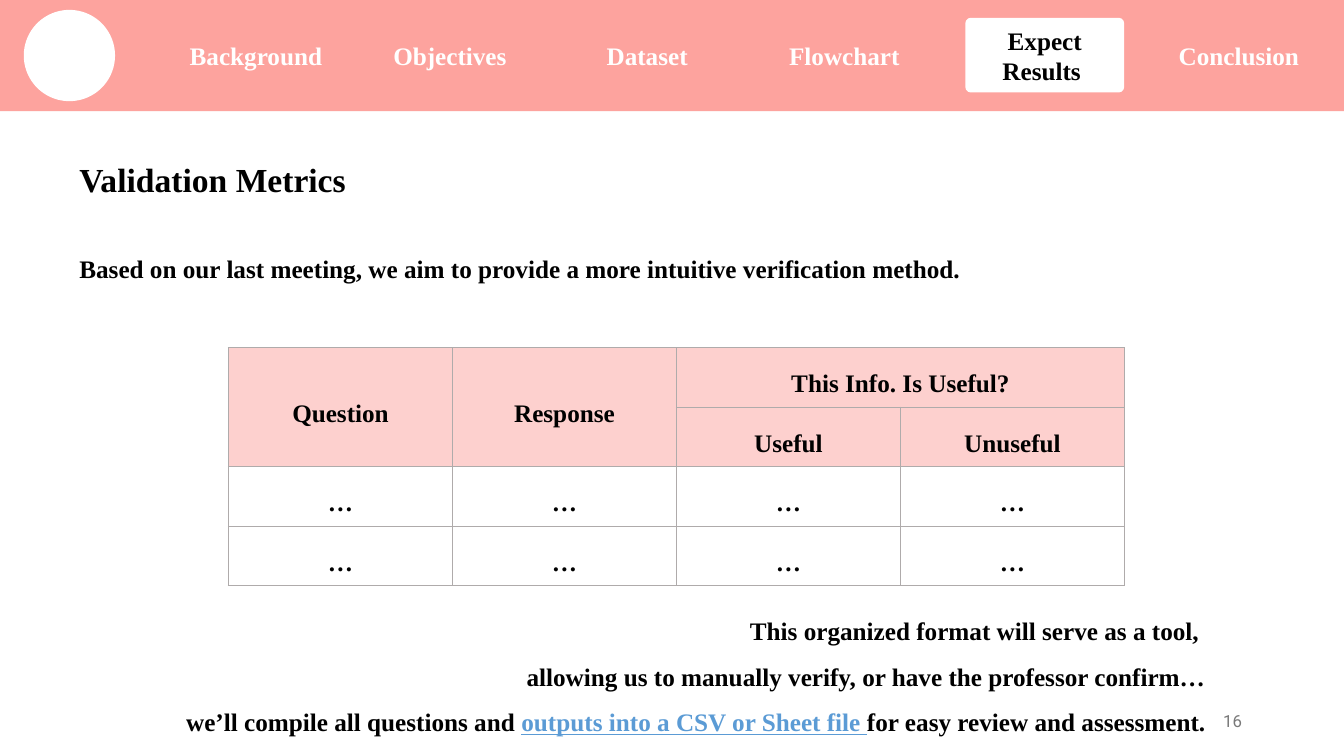
from lxml import etree
from pptx import Presentation
from pptx.dml.color import RGBColor
from pptx.enum import shapes, text
from pptx.oxml import ns
from pptx.util import Cm, Pt

CORAL = RGBColor(0xFD, 0xA3, 0x9E)
WHITE = RGBColor(0xFF, 0xFF, 0xFF)
BLACK = RGBColor(0x00, 0x00, 0x00)
BLUE = RGBColor(0x5B, 0x9B, 0xD5)
GRAY = RGBColor(0x79, 0x79, 0x79)
BORDER = RGBColor(0xAF, 0xAB, 0xAB)
ALIGN, ANCHOR = text.PP_ALIGN, text.MSO_ANCHOR
KIND = shapes.MSO_SHAPE

deck = Presentation()
deck.slide_width, deck.slide_height = Cm(33.87), Cm(19.05)
page = deck.slides.add_slide(deck.slide_layouts[6])


def style(para, size=18, color=BLACK, bold=True, font="Times New Roman",
          align=ALIGN.LEFT, spacing=None):
    para.alignment = align
    para.line_spacing = spacing
    for span in para.runs:
        span.font.size, span.font.bold, span.font.name = Pt(size), bold, font
        span.font.color.rgb = color


def add_plain_shape(kind, left, top, width, height, fill=None):
    """Add a shape without line or shadow, and without fill if none is given."""
    shape = page.shapes.add_shape(kind, Cm(left), Cm(top), Cm(width), Cm(height))
    shape.shadow.inherit = False
    shape.line.fill.background()
    if fill is None:
        shape.fill.background()
    else:
        shape.fill.solid()
        shape.fill.fore_color.rgb = fill
    return shape


# Navigation bar
add_plain_shape(KIND.RECTANGLE, 0, 0, 33.87, 2.8, CORAL)
add_plain_shape(KIND.OVAL, 0.6, 0.25, 2.3, 2.3, WHITE)
sections = ["Background ", "Objectives ", "Dataset ", "Flowchart ",
            "Expect Results ", "Conclusion "]
for i, section in enumerate(sections):
    active = section == "Expect Results "
    tab = add_plain_shape(KIND.ROUNDED_RECTANGLE, 4.45 + 4.97 * i, 0.45, 4, 1.88,
                          WHITE if active else None)
    tab.adjustments[0] = 0.07
    tab.text_frame.text = section
    tab.text_frame.vertical_anchor = ANCHOR.MIDDLE
    style(tab.text_frame.paragraphs[0], color=BLACK if active else WHITE,
          align=ALIGN.CENTER)

# Text boxes: place, lines of spans, anchor, style
closing = [
    ["This organized format will serve as a tool, "],
    ["allowing us to manually verify, or have the professor confirm…"],
    [" we’ll compile all questions and ", "outputs into a CSV or Sheet file ",
     "for easy review and assessment."],
]
notes = [
    ((1.75, 3.89, 16.94, 1.27), [["Validation Metrics"]], ANCHOR.TOP, {"size": 24}),
    ((1.75, 6.25, 31.14, 1.02),
     [["Based on our last meeting, we aim to provide a more intuitive verification method."]],
     ANCHOR.TOP, {}),
    ((23.93, 17.65, 7.62, 1.02), [["16"]], ANCHOR.MIDDLE,
     {"size": 12, "color": GRAY, "bold": False, "font": "Roboto", "align": ALIGN.RIGHT}),
    ((4.01, 15.01, 26.62, 3.58), closing, ANCHOR.TOP,
     {"align": ALIGN.RIGHT, "spacing": 1.5}),
]
for place, lines, anchor, look in notes:
    box = page.shapes.add_textbox(*map(Cm, place))
    frame = box.text_frame
    frame.word_wrap = True
    frame.vertical_anchor = anchor
    for i, line in enumerate(lines):
        para = frame.add_paragraph() if i else frame.paragraphs[0]
        for words in line:
            para.add_run().text = words
        style(para, **look)
# The last box ends with the closing lines
output_span = para.runs[1]
output_span.font.color.rgb = BLUE
output_span.font.underline = True

# Validation table
rows = [
    ["Question", "Response", "This Info. Is Useful?", ""],
    ["", "", "Useful", "Unuseful"],
    ["…"] * 4,
    ["…"] * 4,
]
table = page.shapes.add_table(4, 4, Cm(5.76), Cm(8.76), Cm(22.58), Cm(6)).table
table.first_row = table.horz_banding = False
for r, row in enumerate(rows):
    table.rows[r].height = Cm(1.5)
    for c, words in enumerate(row):
        cell = table.cell(r, c)
        cell.vertical_anchor = ANCHOR.MIDDLE
        if words:
            cell.text_frame.text = words
            style(cell.text_frame.paragraphs[0], align=ALIGN.CENTER, spacing=1.5)
        props = cell._tc.get_or_add_tcPr()
        if r < 2:
            cell.fill.solid()
            cell.fill.fore_color.rgb = CORAL
            tint = props.find(".//" + ns.qn("a:srgbClr"))
            etree.SubElement(tint, ns.qn("a:alpha"), val="50000")
        else:
            cell.fill.background()
        for i, side in enumerate(["a:lnL", "a:lnR", "a:lnT", "a:lnB"]):
            edge = etree.Element(ns.qn(side), w=str(Pt(1)))
            paint = etree.SubElement(edge, ns.qn("a:solidFill"))
            etree.SubElement(paint, ns.qn("a:srgbClr"), val=str(BORDER))
            props.insert(i, edge)
table.cell(0, 0).merge(table.cell(1, 0))
table.cell(0, 1).merge(table.cell(1, 1))
table.cell(0, 2).merge(table.cell(0, 3))

deck.save("out.pptx")
